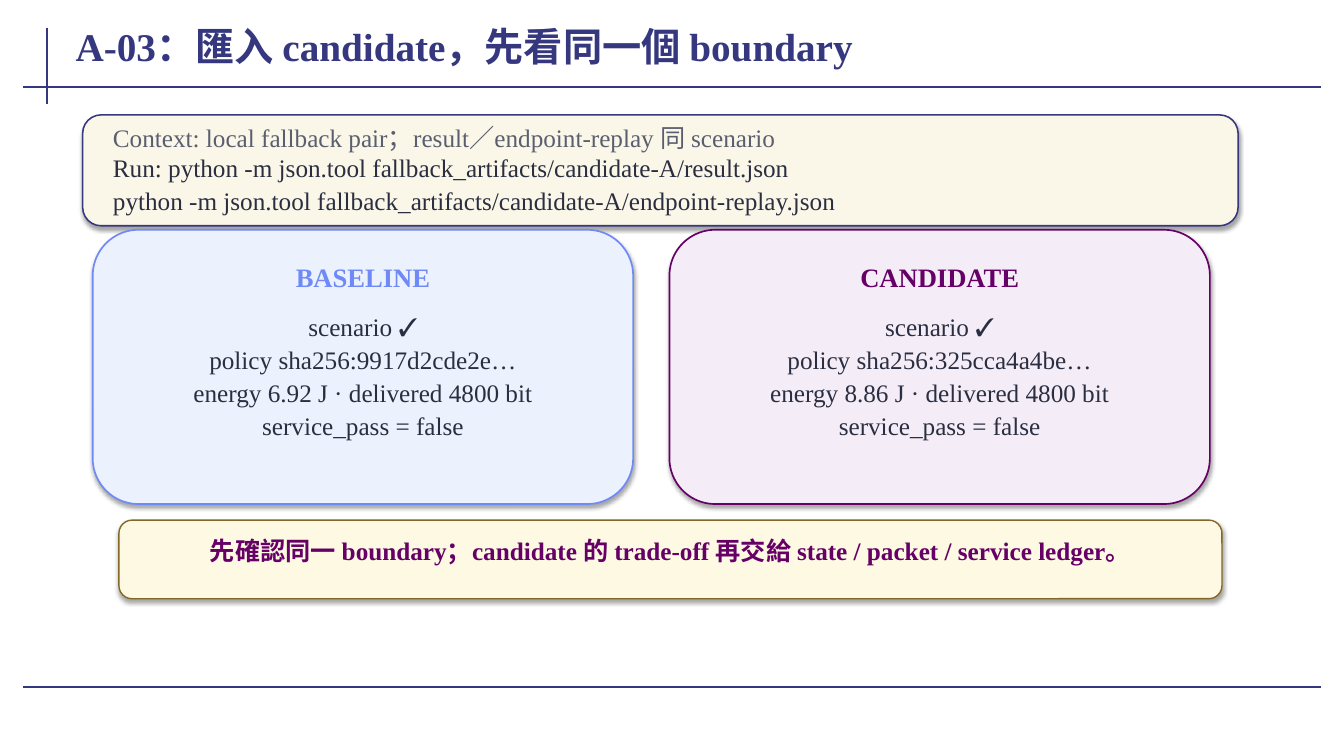
from lxml.etree import SubElement
from pptx import Presentation
from pptx.dml.color import RGBColor
from pptx.enum.shapes import MSO_CONNECTOR, MSO_SHAPE
from pptx.enum.text import MSO_ANCHOR, MSO_AUTO_SIZE, PP_ALIGN
from pptx.oxml.ns import qn
from pptx.util import Inches, Pt

FONT = "Times New Roman"
COLORS = {
    "navy": "35377F",
    "ink": "2B2E41",
    "grey": "5A5E6F",
    "blue": "6F89F7",
    "purple": "660066",
    "gold": "846826",
    "cream": "FAF7E8",
    "pale_blue": "ECF1FE",
    "pale_purple": "F4EDF7",
    "pale_yellow": "FDF9E2",
}


def rgb(name):
    return RGBColor.from_string(COLORS[name])


def add_rule(slide, x1, y1, x2, y2):
    line = slide.shapes.add_connector(
        MSO_CONNECTOR.STRAIGHT, Inches(x1), Inches(y1), Inches(x2), Inches(y2))
    line.line.color.rgb = rgb("navy")
    line.line.width = Pt(1.5)
    SubElement(line._element.spPr, qn("a:effectLst"))


def add_soft_shadow(sp):
    sp.shadow.inherit = False
    effects = sp._element.spPr.find(qn("a:effectLst"))
    shadow = SubElement(effects, qn("a:outerShdw"), blurRad=str(Pt(3.1)),
                        dist=str(Pt(1.8)), dir="5400000", rotWithShape="0")
    color = SubElement(shadow, qn("a:srgbClr"), val="000000")
    SubElement(color, qn("a:alpha"), val="35000")


def add_panel(slide, left, top, width, height, fill, border, border_width):
    sp = slide.shapes.add_shape(
        MSO_SHAPE.ROUNDED_RECTANGLE,
        Inches(left), Inches(top), Inches(width), Inches(height))
    sp.fill.solid()
    sp.fill.fore_color.rgb = rgb(fill)
    sp.line.color.rgb = rgb(border)
    sp.line.width = Pt(border_width)
    add_soft_shadow(sp)


def write_text(tf, lines, size, color, bold=False, align=PP_ALIGN.LEFT):
    """Fill a text frame with one paragraph per line in a single style."""
    tf.word_wrap = True
    tf.vertical_anchor = MSO_ANCHOR.TOP
    tf.margin_left = tf.margin_right = Inches(0.08)
    tf.margin_top, tf.margin_bottom = Inches(0.03), Inches(0.02)
    tf.text = "\n".join(lines)
    for p in tf.paragraphs:
        p.alignment = align
        p.space_before, p.space_after = Pt(0), Pt(2)
        for r in p.runs:
            r.font.name = FONT
            r.font.size = Pt(size)
            r.font.bold = bold
            r.font.color.rgb = rgb(color)


def add_text(slide, left, top, width, height, lines, size, color, **style):
    box = slide.shapes.add_textbox(
        Inches(left), Inches(top), Inches(width), Inches(height))
    write_text(box.text_frame, lines, size, color, **style)
    box.text_frame.auto_size = MSO_AUTO_SIZE.SHAPE_TO_FIT_TEXT


def set_title(slide, text):
    title = slide.shapes.title
    title.left, title.top = Inches(0.67), Inches(0.19)
    title.width, title.height = Inches(12), Inches(0.63)
    write_text(title.text_frame, [text], 28, "navy", bold=True)
    title.text_frame.auto_size = MSO_AUTO_SIZE.NONE


def add_result_card(slide, left, heading, accent, fill, policy, energy):
    add_panel(slide, left, 2.28, 5.36, 2.72, fill, accent, 1.2)
    add_text(slide, left + 0.24, 2.56, 4.88, 0.26, [heading], 19, accent,
             bold=True, align=PP_ALIGN.CENTER)
    facts = [
        "scenario ✓",
        f"policy sha256:{policy}…",
        f"energy {energy} J · delivered 4800 bit",
        "service_pass = false",
    ]
    add_text(slide, left + 0.34, 3.06, 4.68, 1.44, facts, 18, "ink",
             align=PP_ALIGN.CENTER)


def main():
    prs = Presentation()
    prs.slide_width, prs.slide_height = Inches(13.33), Inches(7.5)
    slide = prs.slides.add_slide(prs.slide_layouts[5])

    add_rule(slide, 0.47, 0.28, 0.47, 1.03)
    for y in (0.86, 6.82):
        add_rule(slide, 0.23, y, 13.1, y)
    set_title(slide, "A-03：匯入 candidate，先看同一個 boundary")

    add_panel(slide, 0.82, 1.14, 11.46, 1.1, "cream", "navy", 1.1)
    add_text(slide, 1.04, 1.18, 10.98, 0.26,
             ["Context: local fallback pair；result／endpoint-replay 同 scenario"],
             18, "grey")
    add_text(slide, 1.04, 1.48, 10.98, 0.72, [
        "Run: python -m json.tool fallback_artifacts/candidate-A/result.json",
        "python -m json.tool fallback_artifacts/candidate-A/endpoint-replay.json",
    ], 18, "ink")

    add_result_card(slide, 0.92, "BASELINE", "blue", "pale_blue",
                    "9917d2cde2e", "6.92")
    add_result_card(slide, 6.64, "CANDIDATE", "purple", "pale_purple",
                    "325cca4a4be", "8.86")

    add_panel(slide, 1.18, 5.16, 10.94, 0.78, "pale_yellow", "gold", 1)
    add_text(slide, 1.42, 5.28, 10.46, 0.58,
             ["先確認同一 boundary；candidate 的 trade-off 再交給 "
              "state / packet / service ledger。"],
             18, "purple", bold=True, align=PP_ALIGN.CENTER)

    prs.save("out.pptx")


if __name__ == "__main__":
    main()
